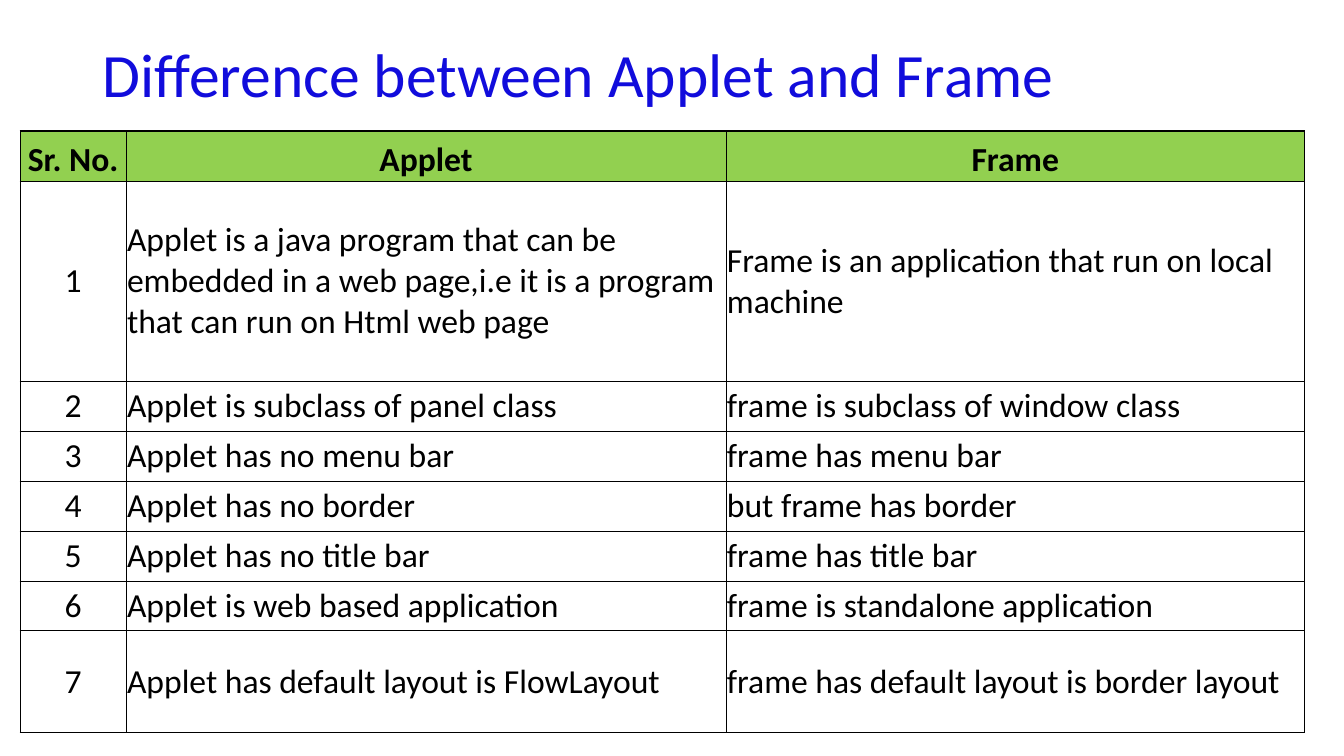
from lxml.etree import SubElement
from pptx import Presentation
from pptx.dml.color import RGBColor
from pptx.enum.text import MSO_ANCHOR, PP_ALIGN
from pptx.oxml.ns import qn
from pptx.util import Inches, Pt

TITLE = "Difference between Applet and Frame"
HEADER = ("Sr. No.", "Applet", "Frame")
DIFFERENCES = [
    ("Applet is a java program that can be embedded in a web page,i.e it is a "
     "program that can run on Html web page",
     "Frame is an application that run on local machine"),
    ("Applet is subclass of panel class", "frame is subclass of window class"),
    ("Applet has no menu bar", "frame has menu bar"),
    ("Applet has no border", "but frame has border"),
    ("Applet has no title bar", "frame has title bar"),
    ("Applet is web based application", "frame is standalone application"),
    ("Applet has default layout is FlowLayout",
     "frame has default layout is border layout"),
]

FONT = "Calibri"
BLUE = RGBColor(0x11, 0x0C, 0xDC)
GREEN = RGBColor(0x92, 0xD0, 0x50)
BLACK = RGBColor(0, 0, 0)
WHITE = RGBColor(255, 255, 255)

COL_WIDTHS = (1.05, 5.95, 5.74)
ROW_HEIGHT = 0.496
ROW_UNITS = (1, 4, 1, 1, 1, 1, 1, 2.04)
THIN, THICK = 0.5, 1


def style_font(font, size, color, bold=False):
    font.name, font.size, font.bold = FONT, Pt(size), bold
    font.color.rgb = color


def add_title(slide):
    box = slide.shapes.add_textbox(Inches(0.92), Inches(0.23), Inches(11.5), Inches(1.07))
    tf = box.text_frame
    tf.word_wrap = True
    tf.vertical_anchor = MSO_ANCHOR.MIDDLE
    p = tf.paragraphs[0]
    p.text = TITLE
    p.line_spacing = 0.9
    style_font(p.font, 44, BLUE)


def set_border(cell, side, width):
    tc_pr = cell._tc.get_or_add_tcPr()
    ln = SubElement(tc_pr, qn(f"a:ln{side}"), w=str(Pt(width)))
    fill = SubElement(ln, qn("a:solidFill"))
    SubElement(fill, qn("a:srgbClr"), val=str(BLACK))


def add_comparison(slide):
    rows = [HEADER] + [(str(n), *pair) for n, pair in enumerate(DIFFERENCES, 1)]
    last_row, last_col = len(rows) - 1, len(HEADER) - 1
    frame = slide.shapes.add_table(
        len(rows), len(HEADER), Inches(0.2), Inches(1.3),
        Inches(sum(COL_WIDTHS)), Inches(ROW_HEIGHT * sum(ROW_UNITS)))
    table = frame.table
    table.first_row = table.horz_banding = False
    for column, width in zip(table.columns, COL_WIDTHS):
        column.width = Inches(width)
    for row, units in zip(table.rows, ROW_UNITS):
        row.height = Inches(ROW_HEIGHT * units)

    for i, texts in enumerate(rows):
        is_header = i == 0
        for j, text in enumerate(texts):
            cell = table.cell(i, j)
            cell.margin_left = cell.margin_right = cell.margin_top = Inches(0.01)
            cell.margin_bottom = 0
            cell.vertical_anchor = MSO_ANCHOR.BOTTOM if is_header else MSO_ANCHOR.MIDDLE
            outer_sides = (("L", j == 0), ("R", j == last_col),
                           ("T", is_header), ("B", i == last_row))
            for side, is_outer in outer_sides:
                set_border(cell, side, THICK if is_outer else THIN)
            cell.fill.solid()
            cell.fill.fore_color.rgb = GREEN if is_header else WHITE
            p = cell.text_frame.paragraphs[0]
            p.text = text
            p.alignment = PP_ALIGN.CENTER if is_header or j == 0 else PP_ALIGN.LEFT
            style_font(p.font, 24, BLACK, bold=is_header)


def main():
    prs = Presentation()
    prs.slide_width, prs.slide_height = Inches(13.33), Inches(7.5)
    slide = prs.slides.add_slide(prs.slide_layouts[6])
    add_title(slide)
    add_comparison(slide)
    prs.save("out.pptx")


if __name__ == "__main__":
    main()
